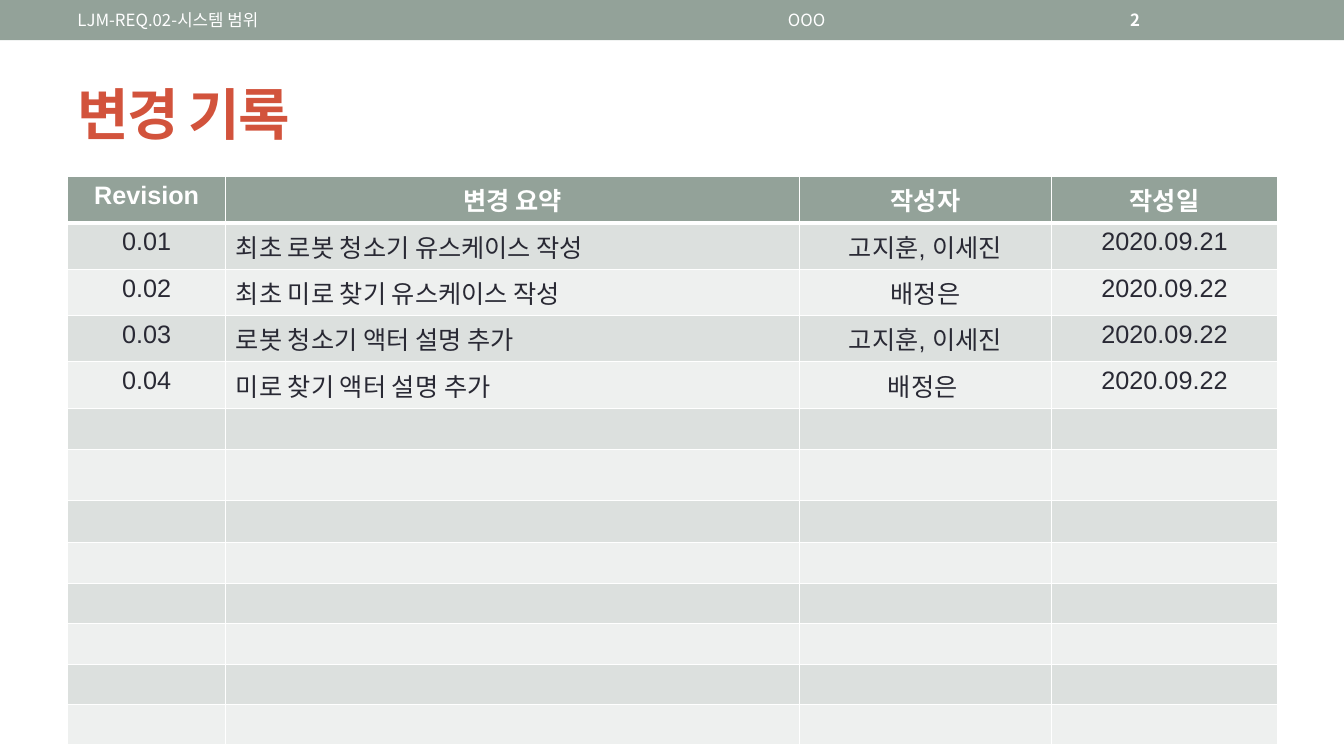
from pptx import Presentation
from pptx.util import Inches, Pt
from pptx.dml.color import RGBColor
from pptx.enum.shapes import MSO_SHAPE
from pptx.enum.text import MSO_ANCHOR, PP_ALIGN
from pptx.oxml.ns import qn
from lxml.etree import SubElement

theme = {
    "sage": RGBColor.from_string("93A299"),
    "red": RGBColor.from_string("D2533C"),
    "ink": RGBColor.from_string("292934"),
    "white": RGBColor.from_string("FFFFFF"),
    "bands": [RGBColor.from_string(c) for c in ("EEF0EF", "DCE0DE")],
    "small": Pt(12), "body": Pt(18), "title": Pt(40),
    "latin": "Arial", "hangul": "Noto Sans CJK KR",
}


def write(frame, text, align, form):
    para = frame.paragraphs[0]
    para.alignment = align
    run = para.add_run()
    run.text = text
    color = form["color"]
    for key, value in form.items():
        if key != "color":
            setattr(run.font, key, value)
    run.font.color.rgb = color
    props = run._r.get_or_add_rPr()
    SubElement(props, qn("a:ea"), typeface=theme["hangul"])
    return props


def edge(cell, side, width):
    line = SubElement(cell._tc.get_or_add_tcPr(), qn("a:ln" + side), w=str(Pt(width)))
    fill = SubElement(line, qn("a:solidFill"))
    SubElement(fill, qn("a:srgbClr"), val=str(theme["white"]))


deck = Presentation()
deck.slide_width, deck.slide_height = Inches(13.33), Inches(7.5)
slide = deck.slides.add_slide(deck.slide_layouts[6])
shapes = slide.shapes

bar = shapes.add_shape(MSO_SHAPE.RECTANGLE, 0, 0, deck.slide_width, Inches(0.4))
bar.shadow.inherit = False
bar.fill.solid()
bar.fill.fore_color.rgb = theme["sage"]
bar.line.fill.background()

left, center = PP_ALIGN.LEFT, PP_ALIGN.CENTER
small = {"name": theme["hangul"], "size": theme["small"], "bold": False, "color": theme["white"]}
title = {"name": theme["hangul"], "size": theme["title"], "bold": True, "color": theme["red"]}
labels = [
    ("변경 기록", (0.67, 0.58, 12, 1.08), left, title),
    ("LJM-REQ.02-시스템 범위", (0.67, 0.02, 4.22, 0.36), left, small),
    ("2", (11.11, 0.02, 1.56, 0.36), left, small | {"bold": True}),
    ("OOO", (5, 0.02, 6, 0.36), center, small),
]
for text, area, align, form in labels:
    frame = shapes.add_textbox(*map(Inches, area)).text_frame
    frame.word_wrap = True
    frame.vertical_anchor = MSO_ANCHOR.MIDDLE
    props = write(frame, text, align, form)
    if form is title:
        props.set("spc", "-100")

log = [
    ("Revision", "변경 요약", "작성자", "작성일"),
    ("0.01", "최초 로봇 청소기 유스케이스 작성 ", "고지훈, 이세진", "2020.09.21"),
    ("0.02", "최초 미로 찾기 유스케이스 작성", "배정은", "2020.09.22"),
    ("0.03", "로봇 청소기 액터 설명 추가", "고지훈, 이세진", "2020.09.22"),
    ("0.04", "미로 찾기 액터 설명 추가 ", "배정은 ", "2020.09.22"),
]
widths = [1.57, 5.69, 2.5, 2.24]
heights = [0.46] * 5 + [0.41, 0.51, 0.41, 0.41] + [0.38] * 4
table = shapes.add_table(
    len(heights), len(widths), Inches(0.67), Inches(1.75),
    Inches(sum(widths)), Inches(sum(heights))).table
for col, width in zip(table.columns, widths):
    col.width = Inches(width)

body = {"name": theme["latin"], "size": theme["body"], "bold": False, "color": theme["ink"]}
head = body | {"bold": True, "color": theme["white"]}
for r, height in enumerate(heights):
    table.rows[r].height = Inches(height)
    for c in range(len(widths)):
        cell = table.cell(r, c)
        for side in "LRTB":
            thick = (r, side) in ((0, "B"), (1, "T"))
            edge(cell, side, 3 if thick else 1)
        cell.fill.solid()
        cell.fill.fore_color.rgb = theme["bands"][r % 2] if r else theme["sage"]
        if r < len(log):
            align = left if r and c == 1 else center
            write(cell.text_frame, log[r][c], align, body if r else head)

deck.save("out.pptx")
